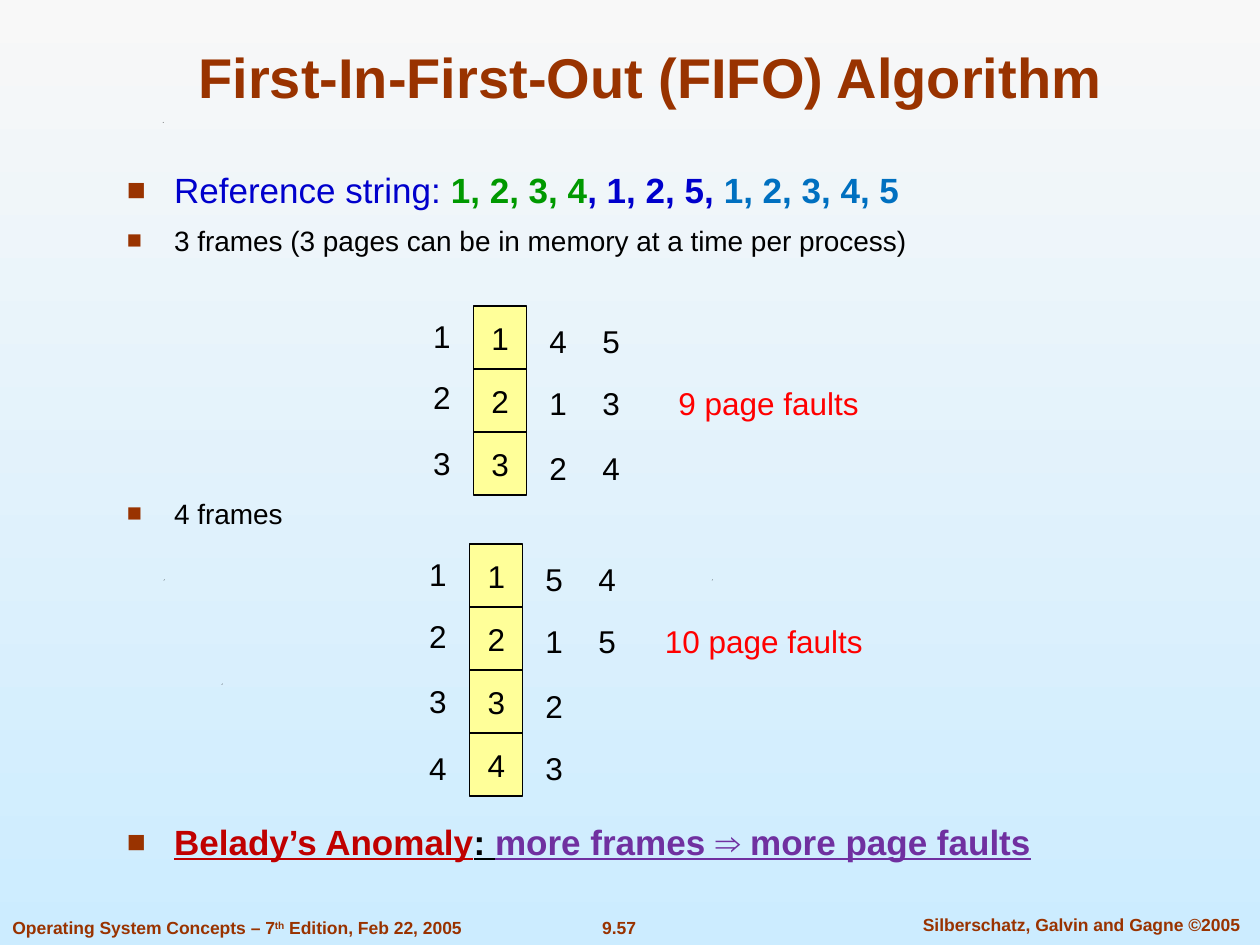
from lxml import etree
from pptx import Presentation
from pptx.dml.color import RGBColor
from pptx.enum.shapes import MSO_SHAPE
from pptx.enum.text import MSO_ANCHOR as Anchor, PP_ALIGN as Align
from pptx.oxml.ns import qn
from pptx.util import Cm, Pt

COLORS = {
    "sky_top": "F8F8F8", "sky_bottom": "CCECFF", "brown": "993300",
    "black": "000000", "blue": "0000CC", "green": "009900",
    "azure": "0070C0", "crimson": "C00000", "purple": "7030A0",
    "red": "FF0000", "yellow": "FFFF99",
}


def add_run(paragraph, text, size, color, bold=False, underline=None):
    run = paragraph.add_run()
    run.text = text
    font = run.font
    font.name, font.size, font.bold, font.underline = "Arial", Pt(size), bold, underline
    font.color.rgb = RGBColor.from_string(COLORS[color])
    return run


def add_text(box, text, size, color, bold=False, wrap=False,
             anchor=Anchor.MIDDLE, align=Align.CENTER):
    """Fill a box with one aligned line and return its paragraph."""
    frame = box.text_frame
    frame.word_wrap = wrap
    frame.vertical_anchor = anchor
    paragraph = frame.paragraphs[0]
    paragraph.alignment = align
    add_run(paragraph, text, size, color, bold)
    return paragraph


presentation = Presentation()
presentation.slide_width, presentation.slide_height = Cm(25.4), Cm(19.05)
slide = presentation.slides.add_slide(presentation.slide_layouts[6])
shapes = slide.shapes

# Background
background = slide.background.fill
background.gradient()
background.gradient_angle = 270
for stop, name, position in zip(background.gradient_stops, ("sky_top", "sky_bottom"), (0, 1)):
    stop.color.rgb = RGBColor.from_string(COLORS[name])
    stop.position = position

# Specks
for x, y in ((4.47, 13.78), (3.3, 11.68), (14.35, 11.68), (3.28, 2.46)):
    builder = shapes.build_freeform(Cm(x), Cm(y + 0.02))
    builder.add_line_segments([(Cm(x + 0.02), Cm(y)), (Cm(x + 0.01), Cm(y + 0.02))])
    speck = builder.convert_to_shape()
    speck.shadow.inherit = False
    speck.fill.solid()
    speck.fill.fore_color.rgb = RGBColor.from_string(COLORS["black"])
    speck.line.fill.background()

# Footer
page_number = shapes.add_textbox(Cm(11.86), Cm(18.36), Cm(1.24), Cm(0.69))
add_text(page_number, "9.57", 10, "brown", bold=True)
authors = shapes.add_textbox(Cm(18.03), Cm(18.29), Cm(7.54), Cm(0.69))
add_text(authors, "Silberschatz, Galvin and Gagne ©2005", 10, "brown", bold=True, wrap=True)
book = shapes.add_textbox(Cm(0), Cm(18.36), Cm(9.6), Cm(0.69))
paragraph = add_text(book, "Operating System Concepts – 7", 10, "brown", bold=True, align=Align.LEFT)
ordinal = add_run(paragraph, "th", 10, "brown", True)
ordinal.font._element.set("baseline", "30000")
add_run(paragraph, " Edition, Feb 22, 2005", 10, "brown", True)

# Title
title = shapes.add_textbox(Cm(1.9), Cm(0.64), Cm(22.43), Cm(1.7))
add_text(title, "First-In-First-Out (FIFO) Algorithm", 32, "brown", bold=True,
         wrap=True, anchor=Anchor.BOTTOM)

# Bullets: space before in points, then runs
bullets = [
    (0, [("Reference string: ", 20, "blue"), ("1, 2, 3, 4", 20, "green", True),
         (", 1, 2, 5, ", 20, "blue", True), ("1, 2, 3, 4, 5", 20, "azure", True)]),
    (7, [("3 frames (3 pages can be in memory at a time per process)", 16, "black")]),
    (137, [("4 frames", 16, "black")]),
    (166, [("Belady’s Anomaly", 20, "crimson", True, True), (": ", 20, "black", True, True),
           ("more frames ⇒ more page faults", 20, "purple", True, True)]),
]
body = shapes.add_textbox(Cm(2.31), Cm(3.28), Cm(19.53), Cm(15))
body.text_frame.word_wrap = True
for index, (space_before, runs) in enumerate(bullets):
    paragraph = body.text_frame.paragraphs[0] if index == 0 else body.text_frame.add_paragraph()
    properties = paragraph._p.get_or_add_pPr()
    properties.set("marL", str(Cm(0.95)))
    properties.set("indent", str(-Cm(0.95)))
    bullet_color = etree.SubElement(properties, qn("a:buClr"))
    etree.SubElement(bullet_color, qn("a:srgbClr"), val=COLORS["brown"])
    etree.SubElement(properties, qn("a:buSzPct"), val="90000")
    etree.SubElement(properties, qn("a:buFont"), typeface="Arial")
    etree.SubElement(properties, qn("a:buChar"), char="■")
    if space_before:
        paragraph.space_before = Pt(space_before)
    for run in runs:
        add_run(paragraph, *run)

# Frame tables: each column holds the pages loaded into frames 1, 2, 3...
CELL_WIDTH, CELL_HEIGHT = 1.07, 1.27
LABEL_WIDTH, LABEL_HEIGHT = 0.86, 1.02
LABEL_TOPS = (0.1, 1.33, 2.66, 4.01)
PAGE_TOPS = (0.2, 1.44, 2.76, 4.01)
frame_tables = [
    (9.55, 6.17, "123", ("453", "453"), "9 page faults", 13.16, 4.67),
    (9.47, 10.97, "1234", ("5123", "45"), "10 page faults", 12.9, 5),
]
frame_tables[0] = frame_tables[0][:3] + (("412", "534"),) + frame_tables[0][4:]
for left, top, frames, replacements, faults, faults_left, faults_width in frame_tables:
    for row, page in enumerate(frames):
        cell = shapes.add_shape(MSO_SHAPE.RECTANGLE, Cm(left), Cm(top + row * CELL_HEIGHT),
                                Cm(CELL_WIDTH), Cm(CELL_HEIGHT))
        cell.shadow.inherit = False
        cell.fill.solid()
        cell.fill.fore_color.rgb = RGBColor.from_string(COLORS["yellow"])
        cell.line.color.rgb = RGBColor.from_string(COLORS["black"])
        cell.line.width = Pt(0.75)
        add_text(cell, page, 18, "black")
    columns = [(-1.07, LABEL_TOPS, frames)]
    columns += [(1.27 + CELL_WIDTH * step, PAGE_TOPS, pages)
                for step, pages in enumerate(replacements)]
    for offset, tops, pages in columns:
        for label_top, page in zip(tops, pages):
            label = shapes.add_textbox(Cm(left + offset), Cm(top + label_top),
                                       Cm(LABEL_WIDTH), Cm(LABEL_HEIGHT))
            add_text(label, page, 18, "black")
    fault_count = shapes.add_textbox(Cm(faults_left), Cm(top + PAGE_TOPS[1]),
                                     Cm(faults_width), Cm(LABEL_HEIGHT))
    add_text(fault_count, faults, 18, "red", wrap=True)

presentation.save("out.pptx")
